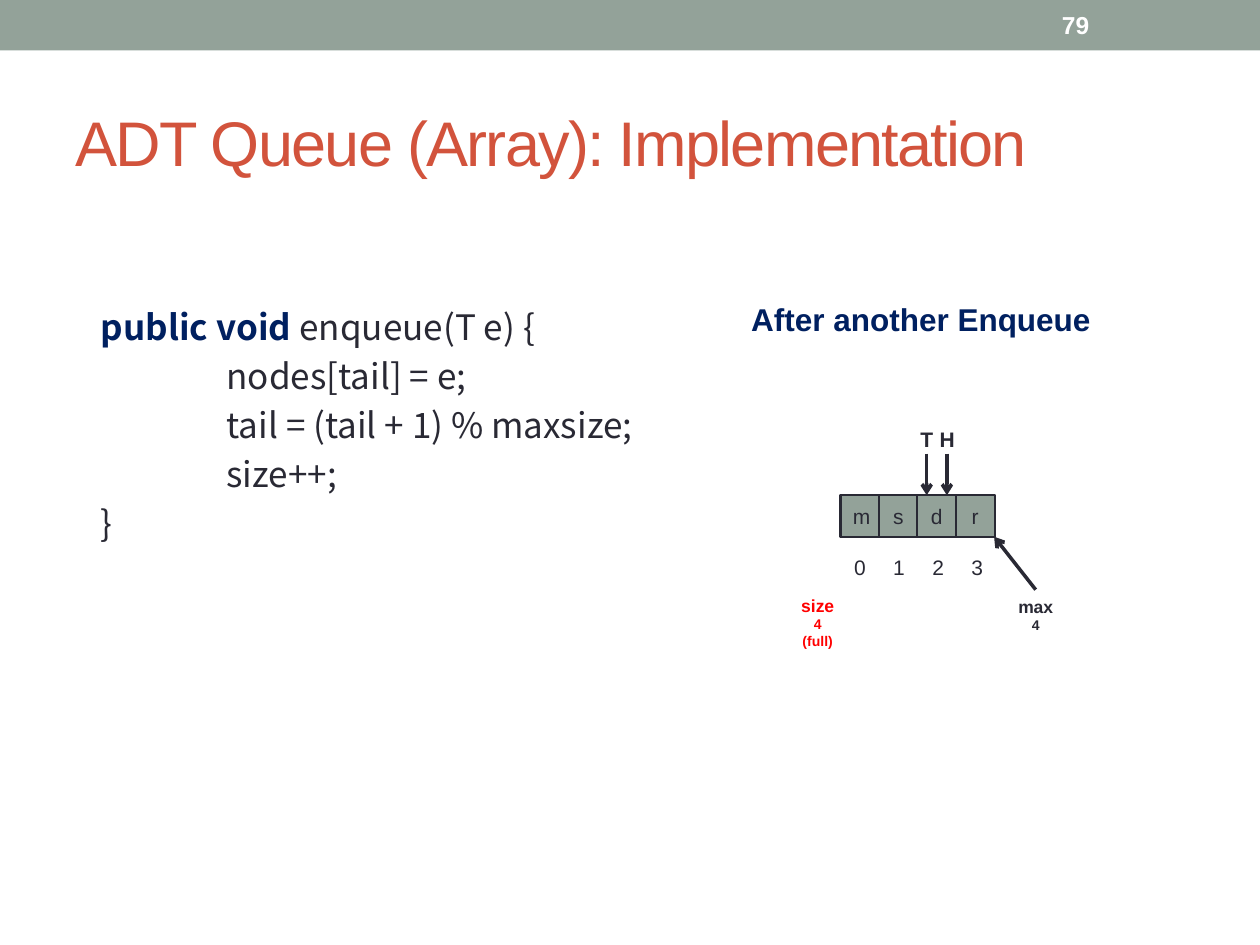
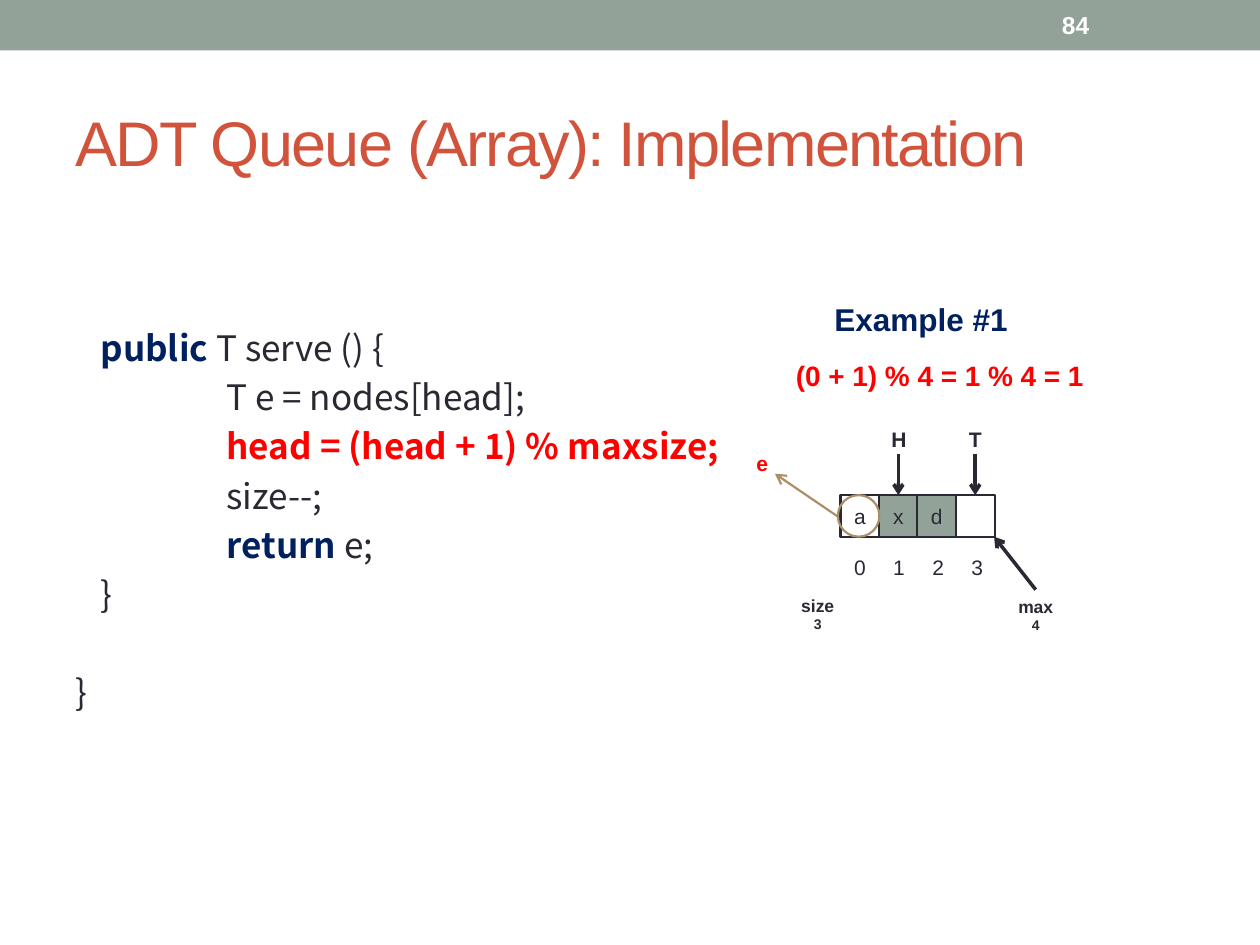
from lxml import etree
from pptx import Presentation
from pptx.dml.color import RGBColor
from pptx.enum.shapes import MSO_CONNECTOR, MSO_SHAPE
from pptx.enum.text import MSO_ANCHOR, MSO_AUTO_SIZE, PP_ALIGN
from pptx.oxml.ns import qn
from pptx.util import Inches, Pt

SAGE = RGBColor(0x93, 0xA2, 0x99)
INK = RGBColor(0x29, 0x29, 0x34)
RUST = RGBColor(0xD2, 0x53, 0x3C)
NAVY = RGBColor(0x00, 0x20, 0x60)
RED = RGBColor(0xFF, 0x00, 0x00)
TAN = RGBColor(0xAD, 0x8F, 0x67)
WHITE = RGBColor(0xFF, 0xFF, 0xFF)

FONT = "Arial"
CODE_FONT = "Noto Sans CJK SC"
TITLE = "ADT Queue (Array): Implementation"

CODE_LINE = Pt(28)
CODE_INDENTS = (0, 0.2, 1.2)
CELL_WIDTH, CELL_HEIGHT, CELL_PITCH = 0.31, 0.33, 0.305
INDEX_PITCH = 0.31

# Code lines are (indent level, [(text, style), ...]).
STYLES = {
    "plain": {"color": INK},
    "keyword": {"color": NAVY, "bold": True},
    "key line": {"color": RED, "bold": True},
}
ENQUEUE_CODE = [
    (1, [("public void ", "keyword"), ("enqueue(T e) {", "plain")]),
    (2, [("nodes[tail] = e;", "plain")]),
    (2, [("tail = (tail + 1) % maxsize;", "plain")]),
    (2, [("size++;", "plain")]),
    (1, [("}", "plain")]),
]
SERVE_CODE = [
    (1, [("public ", "keyword"), ("T serve () {", "plain")]),
    (2, [("T e = nodes[head];", "plain")]),
    (2, [("head = (head + 1) % maxsize;", "key line")]),
    (2, [("size--;", "plain")]),
    (2, [("return ", "keyword"), ("e;", "plain")]),
    (1, [("}", "plain")]),
    (0, [("}", "plain")]),
]


def add_run(paragraph, text, size=12, color=INK, bold=False, font=FONT):
    run = paragraph.add_run()
    run.text = text
    run.font.size = Pt(size)
    run.font.color.rgb = color
    run.font.bold = bold
    run.font.name = font
    return run


def add_text_frame(slide, left, top, width, height, wrap=True):
    box = slide.shapes.add_textbox(*map(Inches, (left, top, width, height)))
    box.text_frame.word_wrap = wrap
    return box.text_frame


def add_label(slide, text, center, top, width=0.31, height=0.3, size=12,
              detail_size=8, **style):
    """Centre text on a point; lines after the first take detail_size."""
    frame = add_text_frame(slide, center - width / 2, top, width, height, wrap=False)
    frame.auto_size = MSO_AUTO_SIZE.SHAPE_TO_FIT_TEXT
    for number, line in enumerate(text.split("\n")):
        paragraph = frame.add_paragraph() if number else frame.paragraphs[0]
        paragraph.alignment = PP_ALIGN.CENTER
        add_run(paragraph, line, size=detail_size if number else size, **style)


def add_block(slide, preset, left, top, width, height, fill=None, line=None):
    block = slide.shapes.add_shape(preset, *map(Inches, (left, top, width, height)))
    block.shadow.inherit = False
    if fill is None:
        block.fill.background()
    else:
        block.fill.solid()
        block.fill.fore_color.rgb = fill
    if line is None:
        block.line.fill.background()
    else:
        block.line.color.rgb = line
        block.line.width = Pt(1.25)


def add_arrow(slide, start, end, color=INK, weight=2):
    arrow = slide.shapes.add_connector(
        MSO_CONNECTOR.STRAIGHT, *map(Inches, (*start, *end)))
    arrow.line.color.rgb = color
    arrow.line.width = Pt(weight)
    etree.SubElement(arrow.line._get_or_add_ln(), qn("a:tailEnd"), type="arrow")
    etree.SubElement(arrow._element.spPr, qn("a:effectLst"))


def add_framed_slide(prs, number):
    """Add a slide with the top band, its number and the shared title."""
    slide = prs.slides.add_slide(prs.slide_layouts[5])
    add_block(slide, MSO_SHAPE.RECTANGLE, 0, 0, 10, 0.4, fill=SAGE)

    title = slide.shapes.title
    title.left, title.top, title.width, title.height = map(Inches, (0.5, 0.58, 9, 1.08))
    title.text_frame.auto_size = MSO_AUTO_SIZE.NONE
    title.text_frame.vertical_anchor = MSO_ANCHOR.MIDDLE
    heading = title.text_frame.paragraphs[0]
    heading.alignment = PP_ALIGN.LEFT
    run = add_run(heading, TITLE, size=36, color=RUST)
    run.font._element.set("spc", "-100")

    page = add_text_frame(slide, 8.33, 0.02, 1.17, 0.36)
    page.vertical_anchor = MSO_ANCHOR.MIDDLE
    add_run(page.paragraphs[0], str(number), size=14, color=WHITE, bold=True)
    return slide


def add_code(slide, code, left, top, width, height):
    frame = add_text_frame(slide, left, top, width, height)
    for number, (level, pieces) in enumerate(code):
        paragraph = frame.add_paragraph() if number else frame.paragraphs[0]
        paragraph.line_spacing = CODE_LINE
        # The brace that closes the class stands one line apart.
        paragraph.space_before = CODE_LINE if level == 0 else Pt(0)
        indent = Inches(CODE_INDENTS[level])
        paragraph._p.get_or_add_pPr().set("marL", str(indent))
        for text, style in pieces:
            add_run(paragraph, text, size=20, font=CODE_FONT, **STYLES[style])


def add_queue(slide, left, top, values, used, pointers, size, size_color=INK):
    """Draw the array; pointers are (name, cell, sideways shift)."""
    middle = left + CELL_WIDTH / 2
    for index, value in enumerate(values):
        cell_left = left + index * CELL_PITCH
        add_block(slide, MSO_SHAPE.RECTANGLE, cell_left, top, CELL_WIDTH, CELL_HEIGHT,
                  fill=SAGE if index in used else WHITE, line=INK)
        if value:
            add_label(slide, value, middle + index * CELL_PITCH, top + 0.02)
        add_label(slide, str(index), middle + index * INDEX_PITCH, top + 0.42)

    for name, cell, shift in pointers:
        x = middle + cell * CELL_PITCH + shift
        add_label(slide, name, x, top - 0.59, bold=True)
        add_arrow(slide, (x, top - 0.33), (x, top))

    add_label(slide, size, left - 0.18, top + 0.74, width=0.47, height=0.4,
              size=10, color=size_color, bold=True)
    add_label(slide, "max\n4", left + 1.55, top + 0.75, width=0.5, height=0.4,
              size=10, bold=True)
    add_arrow(slide, (left + 1.55, top + 0.75), (left + 1.22, top + CELL_HEIGHT))


def add_served_element(slide, left, top):
    """Circle the first cell and lead out to the returned element."""
    add_block(slide, MSO_SHAPE.OVAL, left - 0.02, top, 0.33, 0.33, line=TAN)
    add_arrow(slide, (left - 0.02, top + 0.17), (left - 0.52, top - 0.17),
              color=TAN, weight=1.25)
    add_label(slide, "e", left - 0.64, top - 0.4, width=0.25, color=RED, bold=True)


def add_example(slide, heading, left, top, formula=None, served=False, **queue):
    add_label(slide, heading, left + 1.48, top, width=2.96, height=0.4,
              size=18, color=NAVY, bold=True)
    if formula:
        add_label(slide, formula, left + 1.63, top + 0.47, width=2.76, height=0.37,
                  size=16, color=RED, bold=True)
    array_left, array_top = left + 0.84, top + 1.6
    add_queue(slide, array_left, array_top, **queue)
    if served:
        add_served_element(slide, array_left, array_top)


def main():
    prs = Presentation()
    prs.slide_width, prs.slide_height = Inches(10), Inches(7.5)

    enqueue = add_framed_slide(prs, 79)
    add_code(enqueue, ENQUEUE_CODE, 0.5, 2.32, 8.58, 3.84)
    add_example(enqueue, "After another Enqueue", 5.83, 2.33,
                values="msdr", used=range(4),
                pointers=[("H", 2, 0.08), ("T", 2, -0.08)],
                size="size\n4\n(full)", size_color=RED)

    serve = add_framed_slide(prs, 84)
    add_code(serve, SERVE_CODE, 0.5, 2.49, 9, 4.59)
    add_example(serve, "Example #1", 5.83, 2.33,
                formula="(0 + 1) % 4 = 1 % 4 = 1", served=True,
                values=["a", "x", "d", ""], used=(1, 2),
                pointers=[("H", 1, 0), ("T", 3, 0)], size="size\n3")

    prs.save("out.pptx")


if __name__ == "__main__":
    main()
